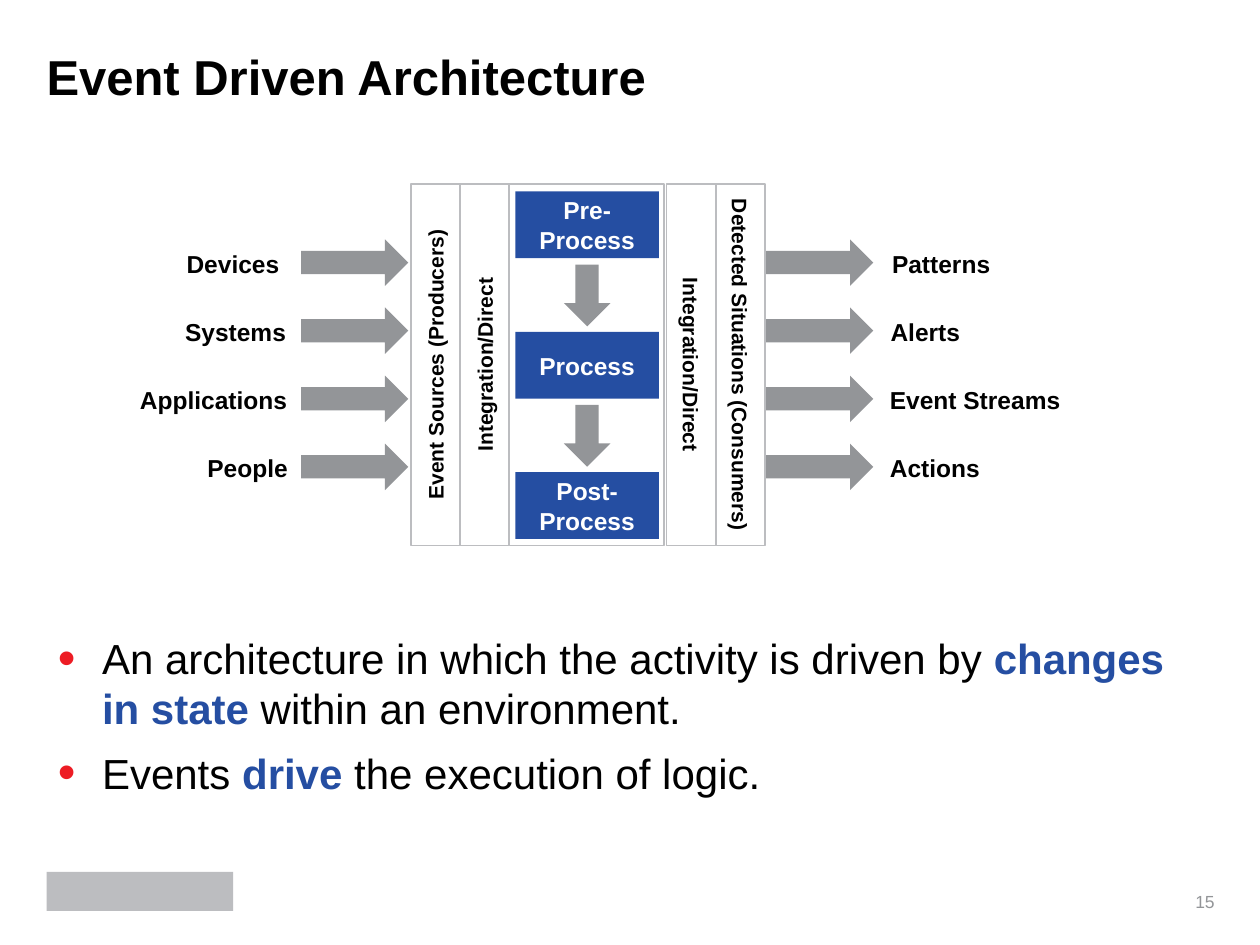
from lxml.etree import SubElement
from pptx import Presentation
from pptx.dml.color import RGBColor
from pptx.enum.shapes import MSO_SHAPE as Shape
from pptx.enum.text import MSO_ANCHOR as Anchor, MSO_AUTO_SIZE as AutoSize, PP_ALIGN as Align
from pptx.oxml.ns import qn
from pptx.util import Pt

BLACK, WHITE, BLUE, RED = "000000", "FFFFFF", "254EA2", "ED1C24"
GRAY, LIGHT_GRAY = "939598", "BCBDC0"

TITLE = "Event Driven Architecture"
BULLETS = [
    [("An architecture in which the activity is driven by ", False),
     ("changes in state", True), (" within an environment.", False)],
    [("Events ", False), ("drive", True), (" the execution of logic.", False)],
]
COLUMNS = [
    (234.7, "Event Sources (Producers)", "vert270"),
    (262.8, "Integration/Direct", "vert270"),
    (380.9, "Integration/Direct", "vert"),
    (409, "Detected Situations (Consumers)", "vert"),
]
STEPS = ["Pre-Process", "Process", "Post-Process"]
SOURCES = [("Devices", 98.6, 69.1), ("Systems", 97.2, 74.9),
           ("Applications", 72, 100.1), ("People", 110.9, 61.2)]
RESULTS = [("Patterns", 501.1, 73.4), ("Alerts", 501.1, 55.4),
           ("Event Streams", 501.1, 112.3), ("Actions", 501.1, 66.2)]
SIDES = [(SOURCES, 172.1), (RESULTS, 437.8)]

COLUMN_TOP, COLUMN_WIDTH, COLUMN_HEIGHT = 105.1, 28.1, 206.6
CENTER_LEFT, CENTER_WIDTH = 290.9, 88.6
STEP_LEFT, STEP_TOP, STEP_PITCH = 294.5, 109.4, 80.2
STEP_WIDTH, STEP_HEIGHT = 82.1, 38.2
ARROW_LENGTH, ARROW_THICKNESS = 61.2, 26.6
ROW_TOP, ROW_PITCH = 136.8, 38.9


def color(hex_string):
    return RGBColor.from_string(hex_string)


def place(shape, left, top, width, height):
    shape.left, shape.top, shape.width, shape.height = map(Pt, (left, top, width, height))


def set_insets(frame, left, top, right, bottom):
    frame.margin_left, frame.margin_top = Pt(left), Pt(top)
    frame.margin_right, frame.margin_bottom = Pt(right), Pt(bottom)


def add_run(paragraph, text, size, fill, bold=False):
    run = paragraph.add_run()
    run.text = text
    run.font.name, run.font.size, run.font.bold = "Arial", Pt(size), bold
    run.font.color.rgb = color(fill)


def add_box(slide, kind, bounds, fill=None, line=None):
    shape = slide.shapes.add_shape(kind, *map(Pt, bounds))
    shape.shadow.inherit = False
    if fill:
        shape.fill.solid()
        shape.fill.fore_color.rgb = color(fill)
    else:
        shape.fill.background()
    if line:
        shape.line.color.rgb = color(line)
        shape.line.width = Pt(1)
    else:
        shape.line.fill.background()
    return shape


def write_centered(shape, text, size, fill):
    shape.text_frame.vertical_anchor = Anchor.MIDDLE
    paragraph = shape.text_frame.paragraphs[0]
    paragraph.alignment = Align.CENTER
    add_run(paragraph, text, size, fill, True)


def add_bullet(paragraph):
    properties = paragraph._p.get_or_add_pPr()
    properties.set("marL", str(Pt(25.2)))
    properties.set("indent", str(-Pt(25.2)))
    bullet_color = SubElement(properties, qn("a:buClr"))
    SubElement(bullet_color, qn("a:srgbClr"), val=RED)
    SubElement(properties, qn("a:buSzPct"), val="120000")
    SubElement(properties, qn("a:buFont"), typeface="Arial")
    SubElement(properties, qn("a:buChar"), char="•")


def add_title(slide):
    title = slide.shapes.title
    place(title, 26.6, 26.6, 666.7, 38.9)
    frame = title.text_frame
    frame.auto_size = AutoSize.NONE
    frame.vertical_anchor = Anchor.TOP
    set_insets(frame, 0, 3.6, 0, 3.6)
    paragraph = frame.paragraphs[0]
    paragraph.alignment = Align.LEFT
    paragraph.line_spacing = 0.9
    add_run(paragraph, TITLE, 28, BLACK, True)


def add_body(slide):
    body = slide.placeholders[1]
    place(body, 25.9, 357.8, 667.4, 128.2)
    frame = body.text_frame
    frame.auto_size = AutoSize.NONE
    set_insets(frame, 7.2, 3.6, 14.4, 3.6)
    for index, parts in enumerate(BULLETS):
        paragraph = frame.add_paragraph() if index else frame.paragraphs[0]
        add_bullet(paragraph)
        paragraph.space_before, paragraph.space_after = Pt(0), Pt(8)
        for text, strong in parts:
            add_run(paragraph, text, 24, BLUE if strong else BLACK, strong)


def add_pipeline(slide):
    for left, text, direction in COLUMNS:
        bounds = (left, COLUMN_TOP, COLUMN_WIDTH, COLUMN_HEIGHT)
        column = add_box(slide, Shape.RECTANGLE, bounds, line=LIGHT_GRAY)
        column.text_frame._txBody.bodyPr.set("vert", direction)
        write_centered(column, text, 12, BLACK)
    bounds = (CENTER_LEFT, COLUMN_TOP, CENTER_WIDTH, COLUMN_HEIGHT)
    add_box(slide, Shape.RECTANGLE, bounds, line=LIGHT_GRAY)
    for index, text in enumerate(STEPS):
        top = STEP_TOP + index * STEP_PITCH
        bounds = (STEP_LEFT, top, STEP_WIDTH, STEP_HEIGHT)
        write_centered(add_box(slide, Shape.RECTANGLE, bounds, BLUE), text, 14, WHITE)
        if index < len(STEPS) - 1:
            left = STEP_LEFT + (STEP_WIDTH - ARROW_THICKNESS) / 2
            bounds = (left, top + STEP_HEIGHT + 3.6, ARROW_THICKNESS, 35.3)
            add_box(slide, Shape.DOWN_ARROW, bounds, GRAY)


def add_sides(slide):
    for labels, arrow_left in SIDES:
        for row, (text, left, width) in enumerate(labels):
            top = ROW_TOP + row * ROW_PITCH
            bounds = (arrow_left, top, ARROW_LENGTH, ARROW_THICKNESS)
            add_box(slide, Shape.RIGHT_ARROW, bounds, GRAY)
            label = slide.shapes.add_textbox(*map(Pt, (left, top + 1.4, width, 24.5)))
            label.text_frame.word_wrap = False
            write_centered(label, text, 14, BLACK)


def add_footer(slide):
    add_box(slide, Shape.RECTANGLE, (26.6, 498.2, 106.6, 22.4), LIGHT_GRAY)
    number = slide.shapes.add_textbox(*map(Pt, (668.9, 501.8, 25.2, 23)))
    frame = number.text_frame
    frame.word_wrap = True
    frame.vertical_anchor = Anchor.BOTTOM
    set_insets(frame, 0, 3.6, 0, 3.6)
    frame.paragraphs[0].alignment = Align.RIGHT
    add_run(frame.paragraphs[0], "15", 10, GRAY)


def main():
    presentation = Presentation()
    presentation.slide_width, presentation.slide_height = Pt(720), Pt(540)
    slide = presentation.slides.add_slide(presentation.slide_layouts[1])
    add_title(slide)
    add_body(slide)
    add_pipeline(slide)
    add_sides(slide)
    add_footer(slide)
    presentation.save("out.pptx")


if __name__ == "__main__":
    main()
